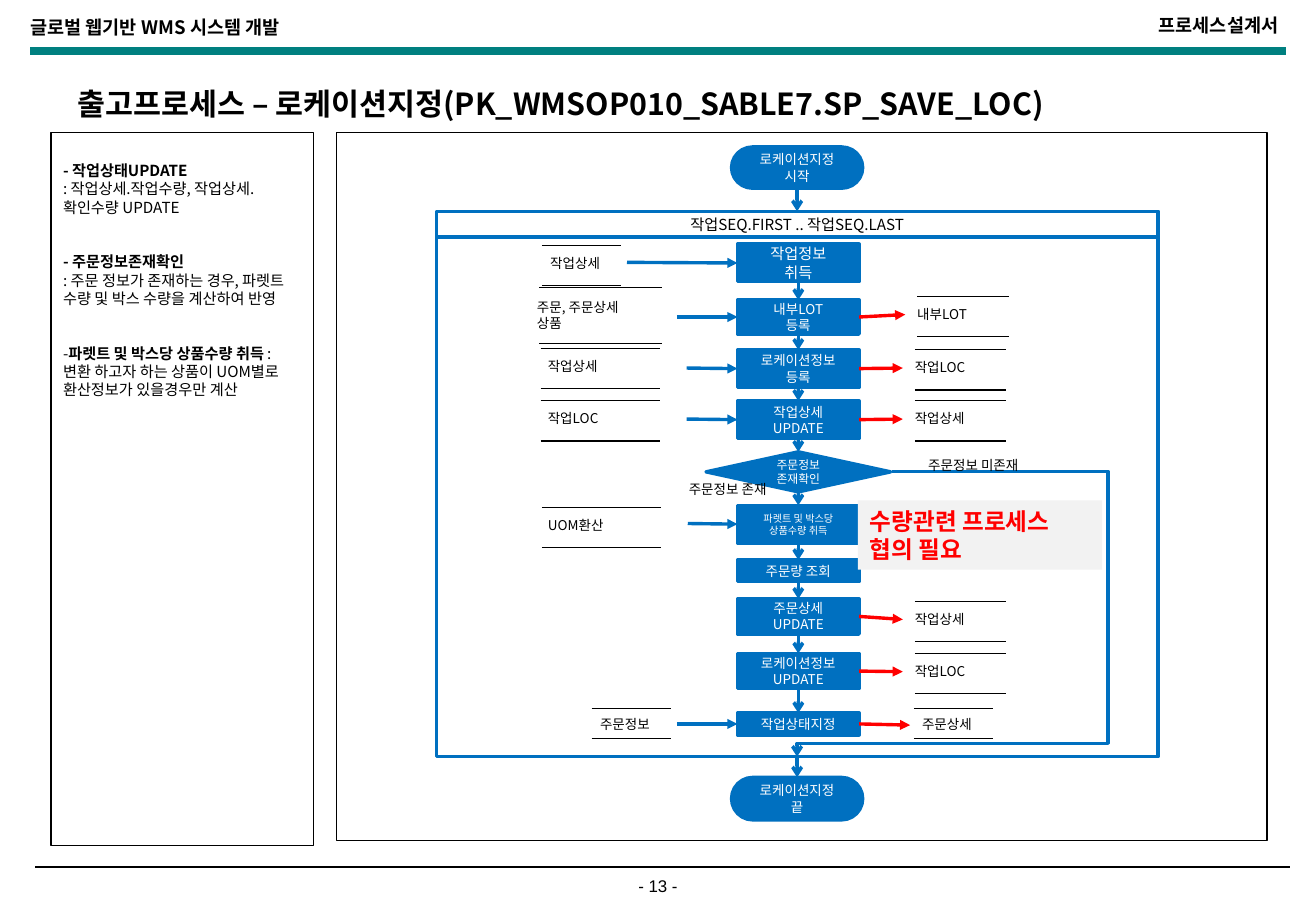
from lxml import etree
from pptx import Presentation, util as u
from pptx.dml.color import RGBColor
from pptx.enum import shapes, text
from pptx.oxml.ns import qn

PX = 9144
SHAPE = shapes.MSO_SHAPE
ALIGN = text.PP_ALIGN
KOREAN = "Noto Sans CJK KR"
BLUE, RED, BLACK, WHITE, TEAL, GREY = "0070C0", "FF0000", "000000", "FFFFFF", "008080", "F2F2F2"

RULES = [(25, 42, 1058, 42, TEAL, 4.5), (29, 714, 1062, 714, BLACK, 1)]
PANELS = [(277, 109, 766, 583, None, 1), (42, 109, 216, 587, WHITE, 0.75)]
TITLE = "출고프로세스 – 로케이션지정(PK_WMSOP010_SABLE7.SP_SAVE_LOC)"
NOTES = [
    [("- 작업상태UPDATE", True)],
    [(": 작업상세.작업수량, 작업상세.확인수량 UPDATE", False)],
    [("- 주문정보존재확인", True)],
    [(": 주문 정보가 존재하는 경우, 파렛트 수량 및 박스 수량을 계산하여 반영", False)],
    [("-", False), ("파렛트 및 박스당 상품수량 취득 ", True),
     (": 변환 하고자 하는 상품이 UOM별로 환산정보가 있을경우만 계산", False)],
]
SECTION_STARTS = (2, 4)
SECTION_GAP = 21.6

# step: top, height, font size, lines
STEPS = [
    (201, 31, 9, ["작업정보", "취득"]),
    (247, 28, 8, ["내부LOT", "등록"]),
    (288, 31, 8, ["로케이션정보", "등록"]),
    (330, 31, 8, ["작업상세", "UPDATE"]),
    (372, 33, 7, ["주문정보", "존재확인"]),
    (416, 31, 6, ["파렛트 및 박스당 상품수량 취득"]),
    (461, 18, 8, ["주문량 조회"]),
    (493, 29, 8, ["주문상세", "UPDATE"]),
    (538, 29, 8, ["로케이션정보", "UPDATE"]),
    (587, 18, 8, ["작업상태지정"]),
]
DECISION = 4
# store: step, lines, text left, top, width, rule left, rule width, rule top, rule bottom
INPUTS = [
    (0, ["작업상세"], 443, 205, 73, 446, 65, 202, 235, 516),
    (1, ["주문, 주문상세", "상품"], 432, 241, 101, 444, 101, 237, 283, 557),
    (2, ["작업상세"], 441, 290, 110, 445, 98, 287, 320, 565),
    (3, ["작업LOC"], 441, 333, 110, 445, 98, 330, 363, 565),
    (5, ["UOM환산"], 441, 421, 110, 446, 98, 418, 451, 566),
    (9, ["주문정보"], 484, 585, 73, 487, 65, 583, 608, 557),
]
OUTPUTS = [
    (1, ["내부LOT"], 745, 247, 76, 755, 75, 244, 277),
    (2, ["작업LOC"], 743, 291, 76, 753, 75, 288, 321),
    (3, ["작업상세"], 743, 333, 76, 753, 75, 330, 363),
    (7, ["작업상세"], 743, 498, 76, 753, 75, 495, 528),
    (8, ["작업LOC"], 743, 541, 76, 753, 75, 538, 571),
    (9, ["주문상세"], 749, 585, 73, 752, 65, 583, 608),
]
BRANCHES = [("주문정보 미존재", 754, 371), ("주문정보 존재", 557, 391)]
BYPASS = [(734, 388), (912, 388), (912, 612), (656, 612), (656, 623)]

deck = Presentation()
deck.slide_width, deck.slide_height = 1083 * PX, 750 * PX
page = deck.slides.add_slide(deck.slide_layouts[6])


def colour(value):
    return RGBColor.from_string(value)


def style_span(span, size, ink, bold, font):
    span.font.size = u.Pt(size)
    span.font.bold = bold
    span.font.color.rgb = colour(ink)
    span.font.name = font
    etree.SubElement(span._r.get_or_add_rPr(), qn("a:ea")).set("typeface", font)


def write(box, paragraphs, size, ink=BLACK, bold=False, align=ALIGN.LEFT, middle=False, font=KOREAN):
    frame = box.text_frame
    frame.word_wrap = True
    frame.vertical_anchor = text.MSO_ANCHOR.MIDDLE if middle else text.MSO_ANCHOR.TOP
    for index, content in enumerate(paragraphs):
        para = frame.add_paragraph() if index else frame.paragraphs[0]
        para.alignment = align
        for words, weight in [(content, bold)] if isinstance(content, str) else content:
            span = para.add_run()
            span.text = words
            style_span(span, size, ink, weight, font)
    return frame


def add_text(x, y, w, h, paragraphs, size, **options):
    box = page.shapes.add_textbox(x * PX, y * PX, w * PX, h * PX)
    write(box, paragraphs, size, **options)
    return box


def paint(shape, fill, line, width):
    shape.shadow.inherit = False
    if fill:
        shape.fill.solid()
        shape.fill.fore_color.rgb = colour(fill)
    else:
        shape.fill.background()
    if line:
        shape.line.color.rgb = colour(line)
        shape.line.width = u.Pt(width)
    else:
        shape.line.fill.background()


def add_box(kind, x, y, w, h, fill=BLUE, line=BLUE, width=2):
    shape = page.shapes.add_shape(kind, x * PX, y * PX, w * PX, h * PX)
    paint(shape, fill, line, width)
    return shape


def add_head(shape, head):
    etree.SubElement(shape.line._get_or_add_ln(), qn("a:tailEnd")).set("type", head)


def add_line(x1, y1, x2, y2, ink, width, head=None, start=None, end=None):
    line = page.shapes.add_connector(shapes.MSO_CONNECTOR.STRAIGHT, x1 * PX, y1 * PX, x2 * PX, y2 * PX)
    line.line.color.rgb = colour(ink)
    line.line.width = u.Pt(width)
    if head:
        add_head(line, head)
    etree.SubElement(line._element.spPr, qn("a:effectLst"))
    if start:
        line.begin_connect(*start)
    if end:
        line.end_connect(*end)


def add_flow(upper, lower):
    add_line(0, 0, 0, 0, BLUE, 2, "arrow", (upper, 2), (lower, 0))


def add_store(lines, x, y, w, rule_x, rule_w, top, bottom):
    for rule_y in (top, bottom):
        add_line(rule_x, rule_y, rule_x + rule_w, rule_y, BLACK, 0.75)
    return add_text(x, y, w, 11 + 13 * len(lines), lines, 8)


add_text(15, 8, 526, 37, ["글로벌 웹기반 WMS 시스템 개발"], 11, bold=True)
add_text(709, 7, 353, 37, ["프로세스설계서"], 11, bold=True, align=ALIGN.RIGHT)
add_text(495, 716, 93, 27, ["- 13 -"], 10, align=ALIGN.CENTER, font="Arial")
for rule in RULES:
    add_line(*rule)
for x, y, w, h, fill, width in PANELS:
    add_box(SHAPE.RECTANGLE, x, y, w, h, fill, BLACK, width)
title = add_text(54, 40, 975, 54, [TITLE], 18, bold=True, middle=True)
title.text_frame.paragraphs[0].line_spacing = 2.2
notes = add_text(42, 128, 215, 252, NOTES, 9)
for index in SECTION_STARTS:
    notes.text_frame.paragraphs[index].space_before = u.Pt(SECTION_GAP)

loop = add_box(SHAPE.FLOWCHART_PROCESS, 359, 174, 594, 449, None)
header = add_box(SHAPE.FLOWCHART_PROCESS, 359, 174, 594, 21, None)
write(header, ["작업SEQ.FIRST .. 작업SEQ.LAST"], 9, align=ALIGN.CENTER, middle=True)
terminals = []
for y, h, word in [(121, 34, "시작"), (640, 35, "끝")]:
    terminal = add_box(SHAPE.FLOWCHART_TERMINATOR, 602, y, 108, h)
    write(terminal, ["로케이션지정", word], 8, WHITE, align=ALIGN.CENTER, middle=True)
    terminals.append(terminal)
add_flow(terminals[0], header)
add_flow(loop, terminals[1])

steps = []
for index, (y, h, size, lines) in enumerate(STEPS):
    if index == DECISION:
        step = add_box(SHAPE.FLOWCHART_DECISION, 581, y, 152, h)
    else:
        step = add_box(SHAPE.FLOWCHART_PROCESS, 607, y, 100, h)
    write(step, lines, size, WHITE, align=ALIGN.CENTER, middle=True)
    steps.append(step)
for upper, lower in zip(steps, steps[1:]):
    add_flow(upper, lower)

for index, *store, arrow_x in INPUTS:
    add_store(*store)
    y, h = STEPS[index][:2]
    add_line(arrow_x, y + h // 2, 607, y + h // 2, BLUE, 2, "triangle", end=(steps[index], 1))
for index, *store in OUTPUTS:
    target = add_store(*store)
    add_line(0, 0, 0, 0, RED, 2, "triangle", (steps[index], 3), (target, 1))

builder = page.shapes.build_freeform(*BYPASS[0], scale=PX)
builder.add_line_segments(BYPASS[1:], close=False)
bypass = builder.convert_to_shape()
paint(bypass, None, BLUE, 2)
add_head(bypass, "arrow")
for words, x, y in BRANCHES:
    add_text(x, y, 143, 24, [words], 8)
notice = add_box(SHAPE.RECTANGLE, 706, 412, 201, 57, GREY, None)
write(notice, ["수량관련 프로세스 협의 필요"], 14, RED, bold=True)

deck.save("out.pptx")
